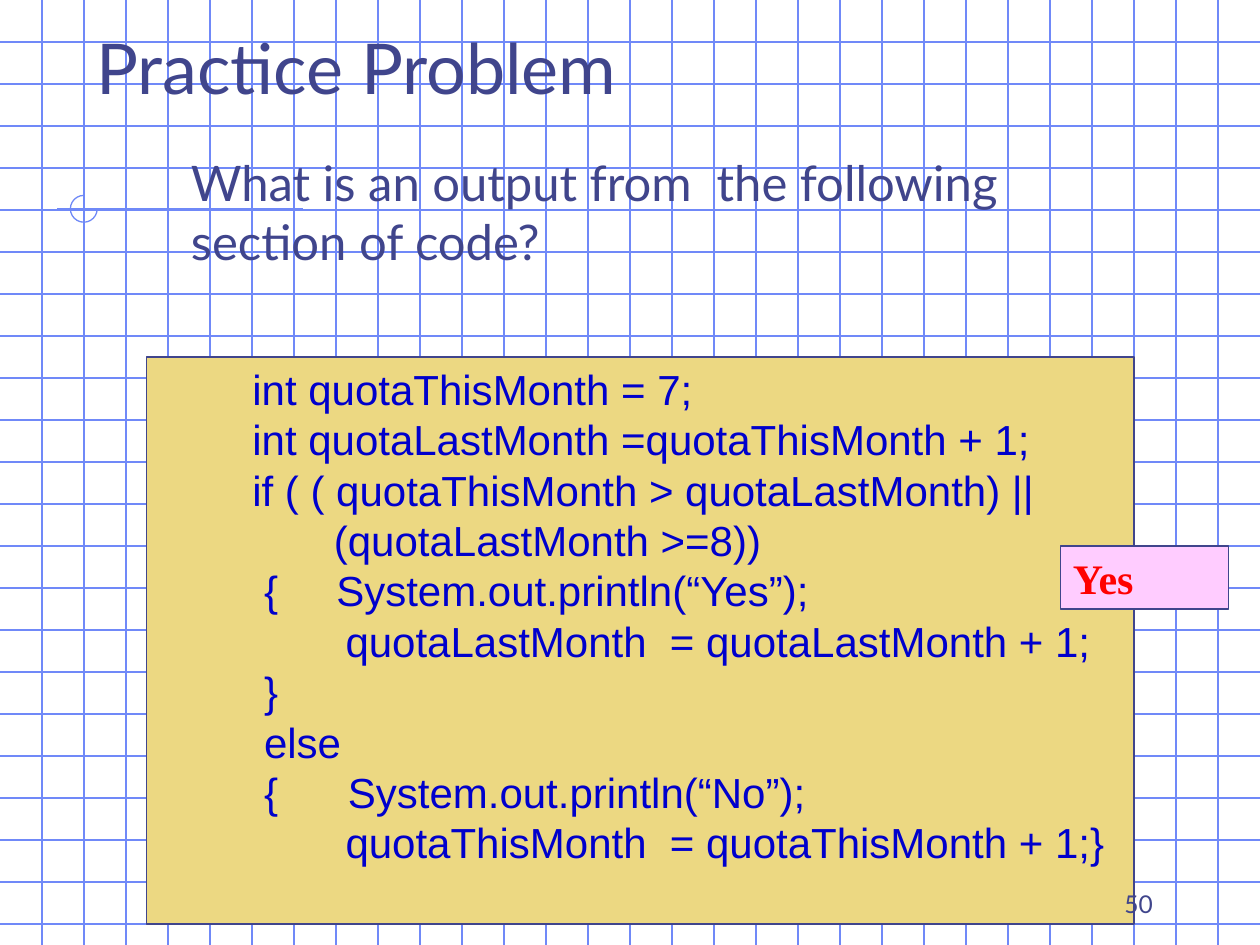
from lxml import etree
from pptx import Presentation
from pptx import util as u
from pptx.dml.color import RGBColor
from pptx.enum import shapes, text
from pptx.oxml.ns import qn

WIDTH, HEIGHT = 25.4, 19.05
GRID_STEP = WIDTH / 30
GRID_BLUE, ORNAMENT_BLUE, INK = "7089F8", "6F89F7", "40458C"

CODE = """\
        int quotaThisMonth = 7;
        int quotaLastMonth =quotaThisMonth + 1;
        if ( ( quotaThisMonth > quotaLastMonth) ||
               (quotaLastMonth >=8))
         {     System.out.println(“Yes”);
                quotaLastMonth  = quotaLastMonth + 1;
         }
         else
         {      System.out.println(“No”);
                quotaThisMonth  = quotaThisMonth + 1;}"""


def color(value):
    return RGBColor.from_string(value)


def set_line(line, value):
    line.color.rgb = color(value)
    line.width = u.Pt(0.75)


def add_rule(slide, x1, y1, x2, y2, value):
    rule = slide.shapes.add_connector(
        shapes.MSO_CONNECTOR.STRAIGHT, u.Cm(x1), u.Cm(y1), u.Cm(x2), u.Cm(y2))
    set_line(rule.line, value)
    etree.SubElement(rule._element.spPr, qn("a:effectLst"))


def add_grid(slide):
    for row in range(1, 23):
        add_rule(slide, 0, row * GRID_STEP, WIDTH, row * GRID_STEP, GRID_BLUE)
    for column in range(1, 30):
        add_rule(slide, column * GRID_STEP, 0, column * GRID_STEP, HEIGHT, GRID_BLUE)


def add_ornament(slide):
    add_rule(slide, 24.55, 0, 24.55, 6.55, ORNAMENT_BLUE)
    add_rule(slide, 6.1, 4.21, 1.14, 4.21, ORNAMENT_BLUE)
    add_rule(slide, 1.69, 3.94, 1.69, 10.39, ORNAMENT_BLUE)
    ring = slide.shapes.add_shape(
        shapes.MSO_SHAPE.ARC, u.Cm(1.42), u.Cm(3.94), u.Cm(0.54), u.Cm(0.54))
    ring.adjustments[0] = 0
    ring.adjustments[1] = 162
    ring.fill.background()
    ring.shadow.inherit = False
    set_line(ring.line, ORNAMENT_BLUE)


def write(holder, content, size, font, value, bold=False,
          align=text.PP_ALIGN.LEFT, anchor=text.MSO_ANCHOR.TOP):
    frame = holder.text_frame
    frame.word_wrap = True
    frame.vertical_anchor = anchor
    frame.text = content
    for paragraph in frame.paragraphs:
        paragraph.alignment = align
        paragraph.font.size = u.Pt(size)
        paragraph.font.name = font
        paragraph.font.bold = bold
        paragraph.font.color.rgb = color(value)


def add_label(slide, box, content, size, **layout):
    label = slide.shapes.add_textbox(*map(u.Cm, box))
    write(label, content, size, "Lato", INK, **layout)
    return label


def add_panel(slide, box, fill, content, font, value, bold=False):
    panel = slide.shapes.add_shape(shapes.MSO_SHAPE.RECTANGLE, *map(u.Cm, box))
    panel.shadow.inherit = False
    panel.fill.solid()
    panel.fill.fore_color.rgb = color(fill)
    set_line(panel.line, INK)
    write(panel, content, 24, font, value, bold)


def main():
    deck = Presentation()
    deck.slide_width, deck.slide_height = u.Cm(WIDTH), u.Cm(HEIGHT)
    slide = deck.slides.add_slide(deck.slide_layouts[6])
    add_grid(slide)
    add_ornament(slide)
    add_label(slide, (1.69, 0.85, 21.59, 1.47), "Practice Problem", 40,
              anchor=text.MSO_ANCHOR.BOTTOM)
    question = add_label(slide, (1.9, 2.96, 21.59, 11.43),
                         "What is an output from  the following section of code?", 28)
    question.text_frame.margin_left = u.Cm(1.95)
    add_panel(slide, (2.96, 7.2, 19.9, 11.43), "ECD882", CODE, "Arial", "0000CC")
    add_panel(slide, (21.38, 11.01, 3.39, 1.27), "FFCCFF", "Yes",
              "Times New Roman", "FF0000", bold=True)
    add_label(slide, (18.2, 17.36, 5.29, 1.27), "50", 14,
              align=text.PP_ALIGN.RIGHT, anchor=text.MSO_ANCHOR.BOTTOM)
    deck.save("out.pptx")


if __name__ == "__main__":
    main()
